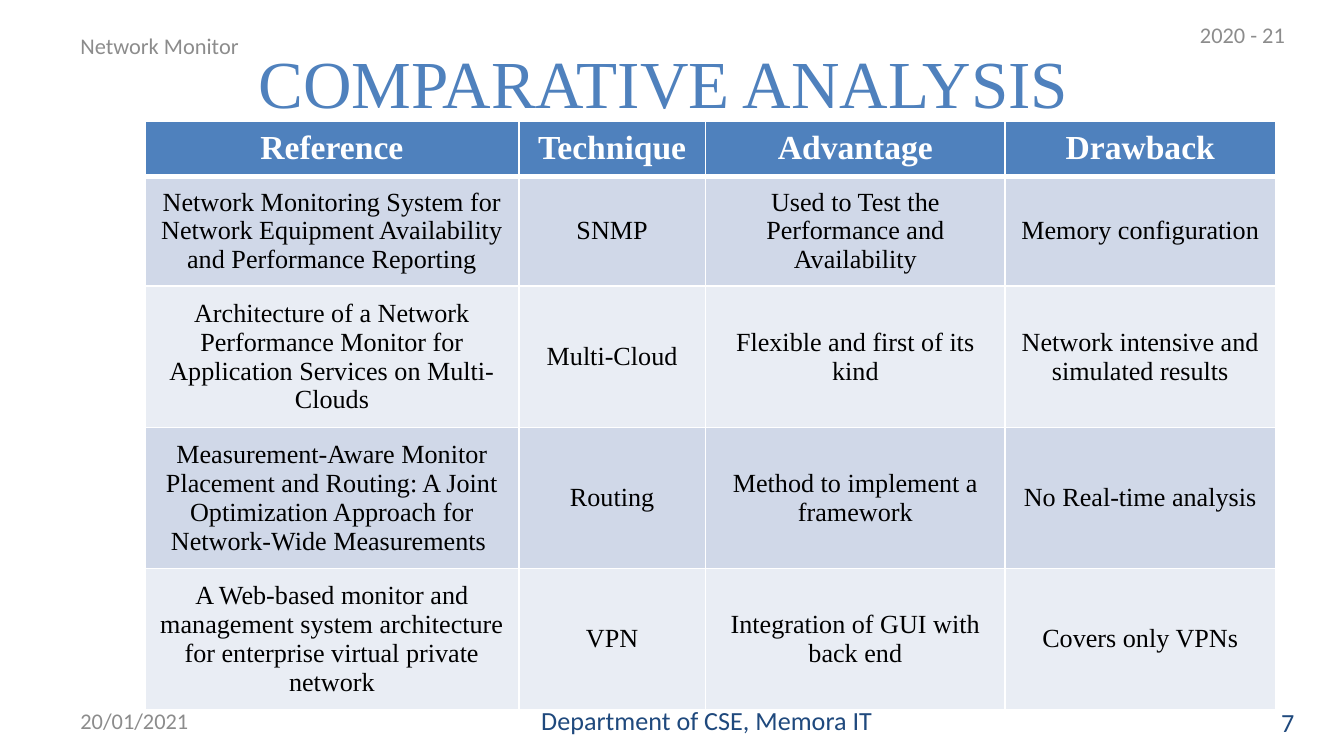
from lxml.etree import SubElement
from pptx import Presentation
from pptx.dml.color import RGBColor
from pptx.enum.text import MSO_ANCHOR, PP_ALIGN
from pptx.oxml.ns import qn
from pptx.util import Inches, Pt

BLUE = RGBColor(0x4F, 0x81, 0xBD)
NAVY = RGBColor(0x1F, 0x49, 0x7D)
GREY = RGBColor(0x8C, 0x8C, 0x8C)
BLACK = RGBColor(0, 0, 0)
WHITE = RGBColor(0xFF, 0xFF, 0xFF)
BANDS = [RGBColor(0xD0, 0xD8, 0xE8), RGBColor(0xE9, 0xED, 0xF4)]
SERIF, SANS = "Times New Roman", "Calibri"

COLS = [2.78, 1.39, 2.23, 2.01]
ROWS = [0.41, 0.82, 1.05, 1.05, 1.05]
CELLS = [
    ["Reference", "Technique", "Advantage", "Drawback"],
    ["Network Monitoring System for Network Equipment Availability and "
     "Performance Reporting", "SNMP",
     "Used to Test the Performance and Availability",
     "Memory configuration "],
    ["Architecture of a Network Performance Monitor for Application "
     "Services on Multi-Clouds", "Multi-Cloud",
     "Flexible and first of its kind",
     "Network intensive and simulated results"],
    ["Measurement-Aware Monitor Placement and Routing: A Joint Optimization "
     "Approach for Network-Wide Measurements ", "Routing",
     "Method to implement a framework", "No Real-time analysis"],
    ["A Web-based monitor and management system architecture for enterprise "
     "virtual private network", "VPN",
     "Integration of GUI with back end", "Covers only VPNs"],
]
# Text, box, size, colour, alignment
NOTES = [
    ("Network Monitor", (0.5, 0.23, 3.08, 0.22), 12, GREY, PP_ALIGN.LEFT),
    ("2020 - 21", (8.83, 0.06, 1.08, 0.39), 12, GREY, PP_ALIGN.LEFT),
    ("20/01/2021", (0.5, 5.21, 2.33, 0.3), 12, GREY, PP_ALIGN.LEFT),
    ("Department of CSE, Memora IT", (3.42, 5.21, 3.17, 0.3), 14, NAVY,
     PP_ALIGN.RIGHT),
    ("7", (9, 5.22, 0.73, 0.3), 14, NAVY, PP_ALIGN.RIGHT),
]


def style(frame, text, size, font, color, align, bold=False):
    frame.text = text
    frame.word_wrap = True
    frame.vertical_anchor = MSO_ANCHOR.MIDDLE
    for para in frame.paragraphs:
        para.alignment = align
        for run in para.runs:
            run.font.size = Pt(size)
            run.font.name = font
            run.font.bold = bold
            run.font.color.rgb = color


def add_title(slide, box):
    title = slide.shapes.title
    title.left, title.top, title.width, title.height = map(Inches, box)
    style(title.text_frame, "COMPARATIVE ANALYSIS ", 36, SERIF, BLUE,
          PP_ALIGN.CENTER)


def add_note(slide, text, box, size, color, align):
    note = slide.shapes.add_textbox(*map(Inches, box))
    style(note.text_frame, text, size, SANS, color, align)


def add_edges(cell, base):
    props = cell._tc.get_or_add_tcPr()
    for side, width in (("L", 1), ("R", 1), ("T", 1), ("B", base)):
        line = SubElement(props, qn("a:ln" + side), w=str(Pt(width)))
        fill = SubElement(line, qn("a:solidFill"))
        SubElement(fill, qn("a:srgbClr"), val=str(WHITE))


def add_grid(slide, box):
    grid = slide.shapes.add_table(len(ROWS), len(COLS),
                                  *map(Inches, box)).table
    for col, width in zip(grid.columns, COLS):
        col.width = Inches(width)
    for r, (row, height) in enumerate(zip(grid.rows, ROWS)):
        row.height = Inches(height)
        head = r == 0
        for cell, text in zip(row.cells, CELLS[r]):
            style(cell.text_frame, text, 18 if head else 14, SERIF,
                  WHITE if head else BLACK, PP_ALIGN.CENTER, head)
            cell.vertical_anchor = MSO_ANCHOR.MIDDLE
            add_edges(cell, 3 if head else 1)
            cell.fill.solid()
            cell.fill.fore_color.rgb = BLUE if head else BANDS[(r - 1) % 2]


def main():
    deck = Presentation()
    # Widescreen, 16 to 9
    deck.slide_width = Inches(10)
    deck.slide_height = deck.slide_width * 9 // 16
    slide = deck.slides.add_slide(deck.slide_layouts[5])
    # Title, header and footer notes
    add_title(slide, (0.5, 0.23, 9, 0.75))
    for note in NOTES:
        add_note(slide, *note)
    # Comparison table
    add_grid(slide, (1.08, 0.9, sum(COLS), sum(ROWS)))
    deck.save("out.pptx")


main()
